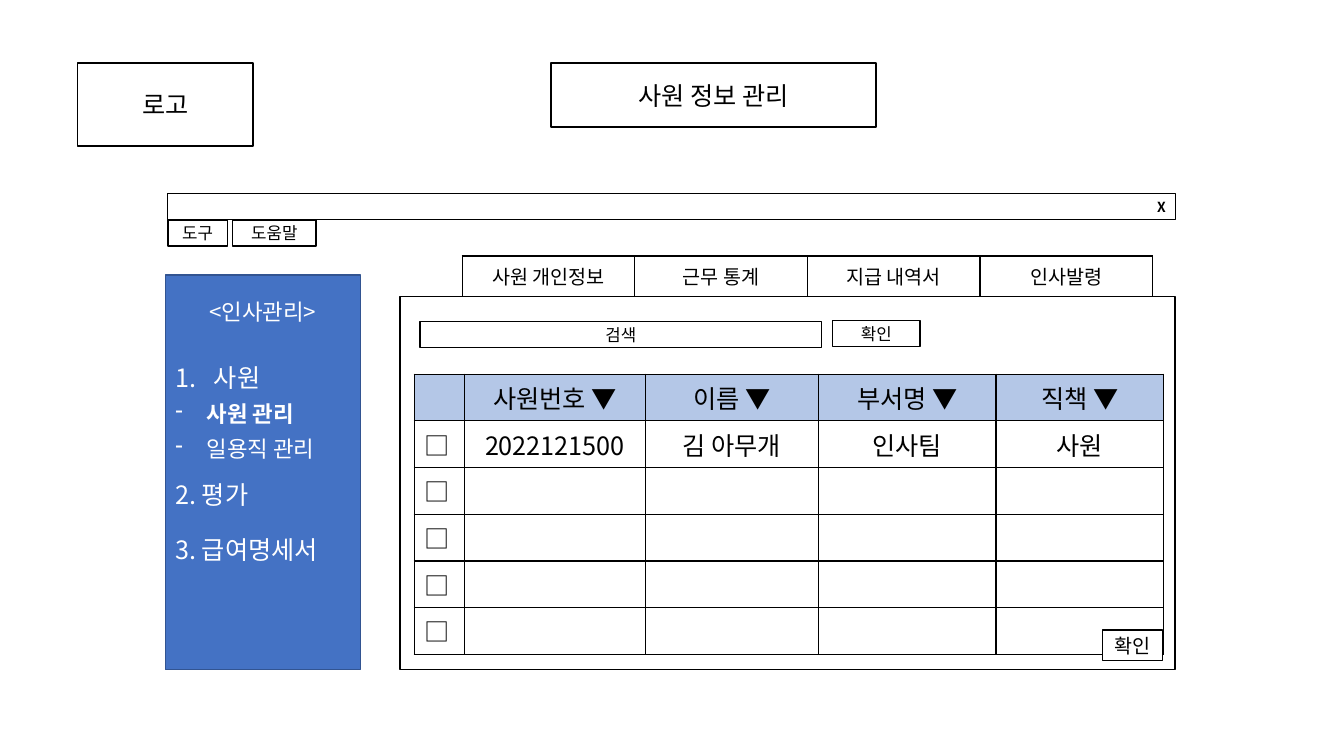
from dataclasses import dataclass

from lxml import etree
from pptx import Presentation
from pptx.dml import color
from pptx.enum import shapes, text
from pptx.oxml import ns
from pptx import util as u


@dataclass(frozen=True)
class Theme:
    font: str = "Noto Sans CJK KR"
    ink: str = "000000"
    paper: str = "FFFFFF"
    menu: str = "4472C4"
    menu_edge: str = "325491"
    table_head: str = "B4C7E7"
    tiny: float = 9.9
    small: float = 12
    tab: float = 14
    item: float = 16
    large: float = 18
    line: float = 1


@dataclass(frozen=True)
class Box:
    left: float
    top: float
    width: float
    height: float

    def inner(self, left, top, width, height):
        return Box(self.left + left, self.top + top, width, height)

    def lengths(self):
        return [u.Cm(side) for side in (self.left, self.top, self.width, self.height)]


THEME = Theme()
ALIGN = text.PP_ALIGN


def rgb(value):
    return color.RGBColor.from_string(value)


def style(para, size, ink=THEME.ink, align=ALIGN.CENTER, bold=False):
    para.alignment = align
    font = para.font
    font.size, font.bold, font.name = u.Pt(size), bold, THEME.font
    font.color.rgb = rgb(ink)
    defaults = para._p.pPr.find(ns.qn("a:defRPr"))
    etree.SubElement(defaults, ns.qn("a:ea"), typeface=THEME.font)


def add_bullet(para, tag, attributes, indent):
    properties = para._p.pPr
    properties.set("marL", str(u.Cm(indent)))
    properties.set("indent", str(-u.Cm(indent)))
    bullet = etree.Element(ns.qn(tag), attributes)
    properties.find(ns.qn("a:defRPr")).addprevious(bullet)


def add_box(page, box, words="", size=THEME.small, fill=THEME.paper, edge=THEME.ink,
            align=ALIGN.CENTER, bold=False):
    shape = page.shapes.add_shape(shapes.MSO_SHAPE.RECTANGLE, *box.lengths())
    shape.shadow.inherit = False
    shape.fill.solid()
    shape.fill.fore_color.rgb = rgb(fill)
    shape.line.color.rgb = rgb(edge)
    shape.line.width = u.Pt(THEME.line)
    frame = shape.text_frame
    frame.word_wrap = True
    frame.vertical_anchor = text.MSO_ANCHOR.MIDDLE
    if words:
        frame.text = words
        style(frame.paragraphs[0], size, align=align, bold=bold)
    return shape


def add_borders(cell):
    properties = cell._tc.get_or_add_tcPr()
    for side in ("lnL", "lnR", "lnT", "lnB"):
        line = etree.SubElement(properties, ns.qn(f"a:{side}"), w=str(u.Pt(THEME.line)))
        fill = etree.SubElement(line, ns.qn("a:solidFill"))
        etree.SubElement(fill, ns.qn("a:srgbClr"), val=THEME.ink)


def add_grid(page, box, rows, widths, size, head=None, anchor=text.MSO_ANCHOR.TOP):
    table = page.shapes.add_table(len(rows), len(widths), *box.lengths()).table
    table.first_row = table.horz_banding = False
    for column, width in zip(table.columns, widths):
        column.width = u.Cm(width)
    for index, words in enumerate(rows):
        table.rows[index].height = u.Cm(box.height / len(rows))
        for place, word in enumerate(words):
            cell = table.cell(index, place)
            add_borders(cell)
            if head and index == 0:
                cell.fill.solid()
                cell.fill.fore_color.rgb = rgb(head)
            else:
                cell.fill.background()
            cell.vertical_anchor = anchor
            cell.text = word
            align = ALIGN.LEFT if word == "□" else ALIGN.CENTER
            style(cell.text_frame.paragraphs[0], size, align=align)


def add_header(page, box):
    add_box(page, box.inner(0, 0, 4.43, 2.09), "로고", THEME.large)
    add_box(page, box.inner(11.94, 0, 8.19, 1.61), "사원 정보 관리", THEME.large)


def add_window_bar(page, box):
    height = box.height / 2
    bar = add_box(page, box.inner(0, 0, box.width, height), "X", THEME.tiny,
                  align=ALIGN.RIGHT, bold=True)
    bar.line.width = u.Pt(0.75)
    for word, left, width in (("도구", 0, 1.5), ("도움말", 1.63, 2.11)):
        add_box(page, box.inner(left, height, width, height), word)


def add_sidebar(page, box):
    frame = add_box(page, box, fill=THEME.menu, edge=THEME.menu_edge).text_frame
    frame.vertical_anchor = text.MSO_ANCHOR.TOP
    frame.margin_top = u.Cm(0.58)
    number = ("a:buAutoNum", {"type": "arabicPeriod"}, 0.97)
    dash = ("a:buChar", {"char": "-"}, 0.79)
    entries = (
        ("<인사관리>", THEME.item, 0, None, False),
        ("사원", THEME.large, 27, number, False),
        ("사원 관리", THEME.item, 5, dash, True),
        ("일용직 관리", THEME.item, 6, dash, False),
        ("2. 평가", THEME.large, 12, None, False),
        ("3. 급여명세서", THEME.large, 18, None, False),
    )
    frame.text = "\n".join(entry[0] for entry in entries)
    for para, (_, size, gap, bullet, bold) in zip(frame.paragraphs, entries):
        align = ALIGN.LEFT if gap else ALIGN.CENTER
        style(para, size, THEME.paper, align, bold)
        para.space_before = u.Pt(gap)
        if bullet:
            add_bullet(para, *bullet)


def add_panel(page, box):
    add_box(page, box)
    tabs = ["사원 개인정보", "근무 통계", "지급 내역서", "인사발령"]
    tab_box = box.inner(1.57, -1.02, 17.4, 1.03)
    tab_widths = [tab_box.width / len(tabs)] * len(tabs)
    add_grid(page, tab_box, [tabs], tab_widths, THEME.tab, anchor=text.MSO_ANCHOR.MIDDLE)
    add_box(page, box.inner(0.51, 0.63, 10.11, 0.66), "검색")
    add_box(page, box.inner(10.9, 0.61, 2.21, 0.66), "확인")
    titles = [f"{name} ▼" for name in ("사원번호", "이름", "부서명", "직책")]
    rows = [["", *titles], ["□", "2022121500", "김 아무개", "인사팀", "사원"]]
    rows += [["□", "", "", "", ""]] * 4
    widths = [1.27, 4.55, 4.37, 4.47, 4.22]
    add_grid(page, box.inner(0.36, 1.96, sum(widths), 7.06), rows, widths,
             THEME.large, THEME.table_head)
    add_box(page, box.inner(17.7, 8.41, 1.52, 0.76), "확인", THEME.tab)


def main():
    deck = Presentation()
    deck.slide_width, deck.slide_height = u.Cm(33.87), u.Cm(19.05)
    page = deck.slides.add_slide(deck.slide_layouts[6])
    add_header(page, Box(1.95, 1.59, 20.13, 2.09))
    add_window_bar(page, Box(4.23, 4.88, 25.4, 1.32))
    add_sidebar(page, Box(4.17, 6.93, 4.91, 9.95))
    add_panel(page, Box(10.08, 7.47, 19.53, 9.4))
    deck.save("out.pptx")


main()
